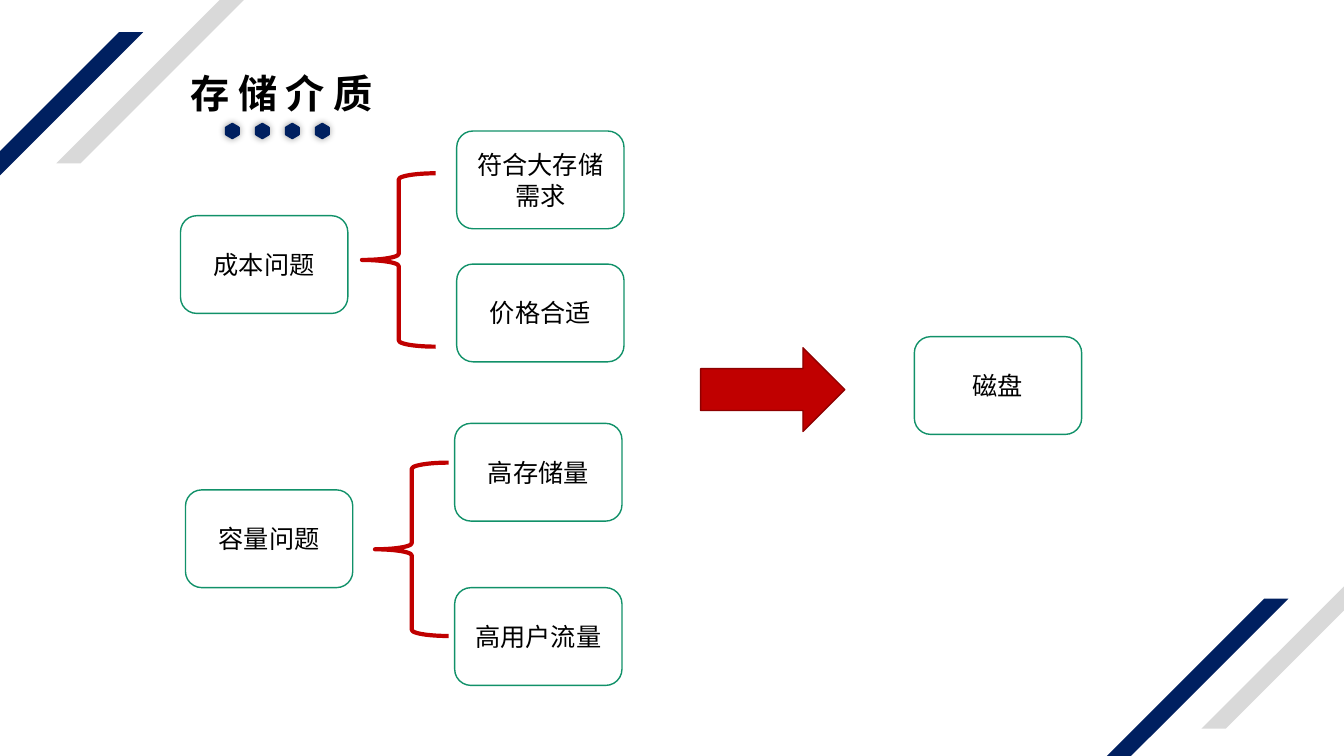
from lxml.etree import SubElement
from pptx import Presentation
from pptx.dml.color import RGBColor
from pptx.enum.shapes import MSO_SHAPE
from pptx.enum.text import MSO_ANCHOR, MSO_AUTO_SIZE, PP_ALIGN
from pptx.oxml.ns import qn
from pptx.util import Inches, Pt

COLORS = {
    "navy": "002060", "grey": "D9D9D9", "white": "FFFFFF", "black": "000000",
    "green": "119169", "red": "C00000", "dark_red": "8E0000",
}
FONT = "Noto Sans CJK SC"
STRIPE = (21.23, 34.53)
CARD = (12.45, 12.93)
BRACE = (5.48, 22.93)
ARROW = (10.73, 11.07)
DOT_CORNERS = [(0.04, 1.07), (0.49, 0.6), (0.56, 0.47)]


class SlideKit:
    def __init__(self, prs):
        self.width, self.height = prs.slide_width, prs.slide_height
        self.slide = prs.slides.add_slide(prs.slide_layouts[5])

    def x(self, share):
        return round(self.width * share / 100)

    def y(self, share):
        return round(self.height * share / 100)

    def color(self, name):
        return RGBColor.from_string(COLORS[name])

    def run(self, p, text, size, bold=False, spacing=0):
        r = p.add_run()
        r.text = text
        r.font.size = Pt(size)
        r.font.bold = bold
        r.font.name = FONT
        r.font.color.rgb = self.color("black")
        rPr = r.font._element
        SubElement(rPr, qn("a:ea")).set("typeface", FONT)
        if spacing:
            rPr.set("spc", str(spacing * 100))

    def paint(self, sp, fill=None, line=None, weight=1):
        sp.shadow.inherit = False
        if fill:
            sp.fill.solid()
            sp.fill.fore_color.rgb = self.color(fill)
        else:
            sp.fill.background()
        if line:
            sp.line.color.rgb = self.color(line)
            sp.line.width = Pt(weight)
        else:
            sp.line.fill.background()

    def shape(self, kind, at, size, fill=None, line=None, weight=1):
        sp = self.slide.shapes.add_shape(
            kind, self.x(at[0]), self.y(at[1]), self.x(size[0]), self.y(size[1]))
        self.paint(sp, fill, line, weight)
        return sp

    def stripe(self, at, fill):
        sp = self.shape(MSO_SHAPE.PARALLELOGRAM, at, STRIPE, fill)
        sp.adjustments[0] = 1

    def title(self, text, at, size):
        sp = self.slide.shapes.title
        sp.left, sp.top = self.x(at[0]), self.y(at[1])
        sp.width, sp.height = self.x(size[0]), self.y(size[1])
        tf = sp.text_frame
        tf.word_wrap = False
        tf.auto_size = MSO_AUTO_SIZE.SHAPE_TO_FIT_TEXT
        tf.vertical_anchor = MSO_ANCHOR.TOP
        p = tf.paragraphs[0]
        p.alignment = PP_ALIGN.LEFT
        self.run(p, text, 28, bold=True, spacing=6)

    def dot(self, cx, cy):
        back = DOT_CORNERS[::-1]
        corners = (DOT_CORNERS + [(dx, -dy) for dx, dy in back]
                   + [(-dx, -dy) for dx, dy in DOT_CORNERS]
                   + [(-dx, dy) for dx, dy in back])
        points = [(self.x(cx + dx), self.y(cy + dy)) for dx, dy in corners]
        builder = self.slide.shapes.build_freeform(*points[0])
        builder.add_line_segments(points[1:], close=True)
        sp = builder.convert_to_shape()
        self.paint(sp, "navy")
        effects = sp._element.spPr.find(qn("a:effectLst"))
        shadow = SubElement(effects, qn("a:outerShdw"), blurRad=str(Pt(5)), dist="0", dir="0")
        tint = SubElement(shadow, qn("a:srgbClr"), val=COLORS["black"])
        SubElement(tint, qn("a:alpha"), val="40000")

    def card(self, text, at):
        sp = self.shape(MSO_SHAPE.FLOWCHART_ALTERNATE_PROCESS, at, CARD, "white", "green")
        tf = sp.text_frame
        tf.word_wrap = True
        tf.vertical_anchor = MSO_ANCHOR.MIDDLE
        p = tf.paragraphs[0]
        p.alignment = PP_ALIGN.CENTER
        self.run(p, text, 18)

    def arrow(self, at):
        self.shape(MSO_SHAPE.RIGHT_ARROW, at, ARROW, "red", "dark_red")

    def brace(self, at):
        self.shape(MSO_SHAPE.LEFT_BRACE, at, BRACE, line="red", weight=3)


def main():
    prs = Presentation()
    prs.slide_width, prs.slide_height = Inches(13.33), Inches(7.5)
    s = SlideKit(prs)

    for at, fill in [((-10.58, 4.27), "navy"), ((4.2, -12.93), "grey"),
                     ((74.63, 79.2), "navy"), ((89.4, 61.87), "grey")]:
        s.stripe(at, fill)

    s.title("存储介质", (13.43, 8.53), (15.83, 7.6))
    for i in range(4):
        s.dot(17.29 + 2.23 * i, 17.33)

    for text, at in [
        ("成本问题", (13.43, 28.53)),
        ("符合大存储需求", (33.98, 17.33)),
        ("价格合适", (33.98, 34.93)),
        ("容量问题", (13.8, 64.8)),
        ("高存储量", (33.83, 56)),
        ("高用户流量", (33.83, 77.73)),
        ("磁盘", (68.03, 44.53)),
    ]:
        s.card(text, at)

    s.arrow((52.13, 46))
    for at in [(26.93, 22.93), (27.9, 61.2)]:
        s.brace(at)

    prs.save("out.pptx")


if __name__ == "__main__":
    main()
